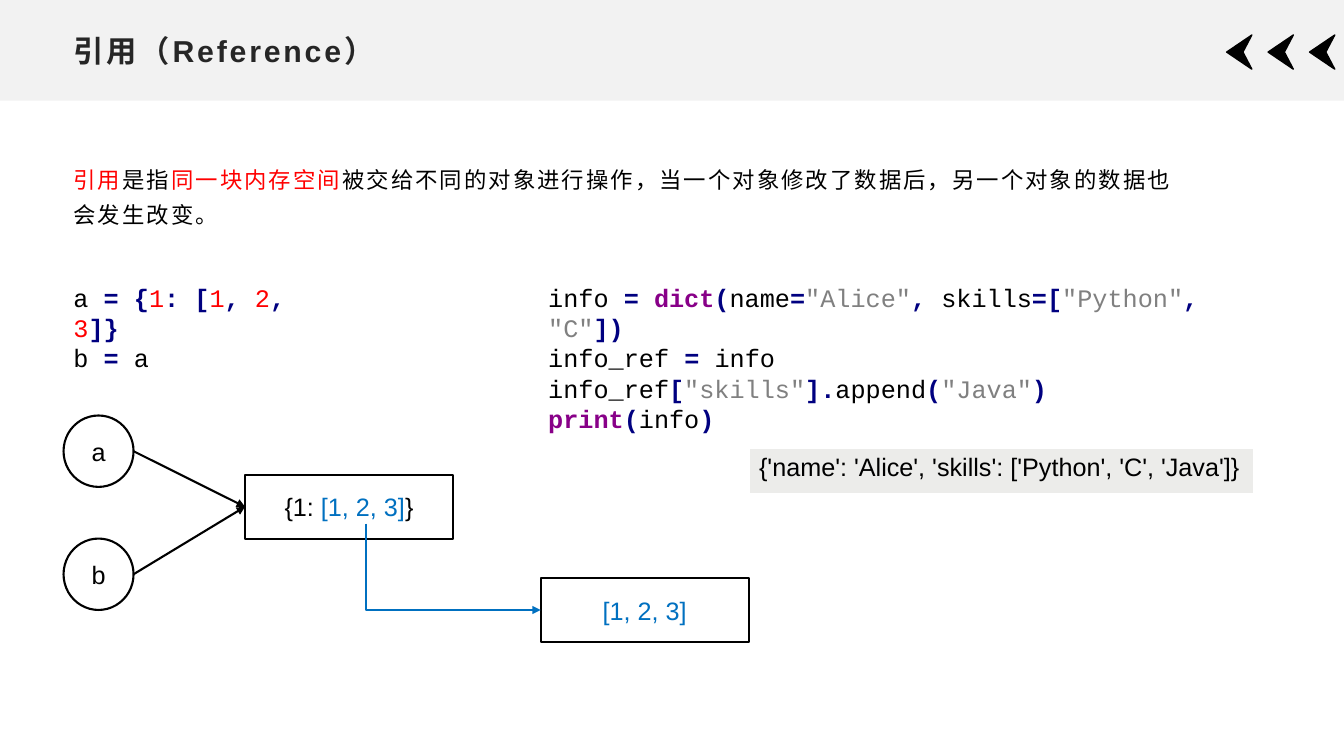
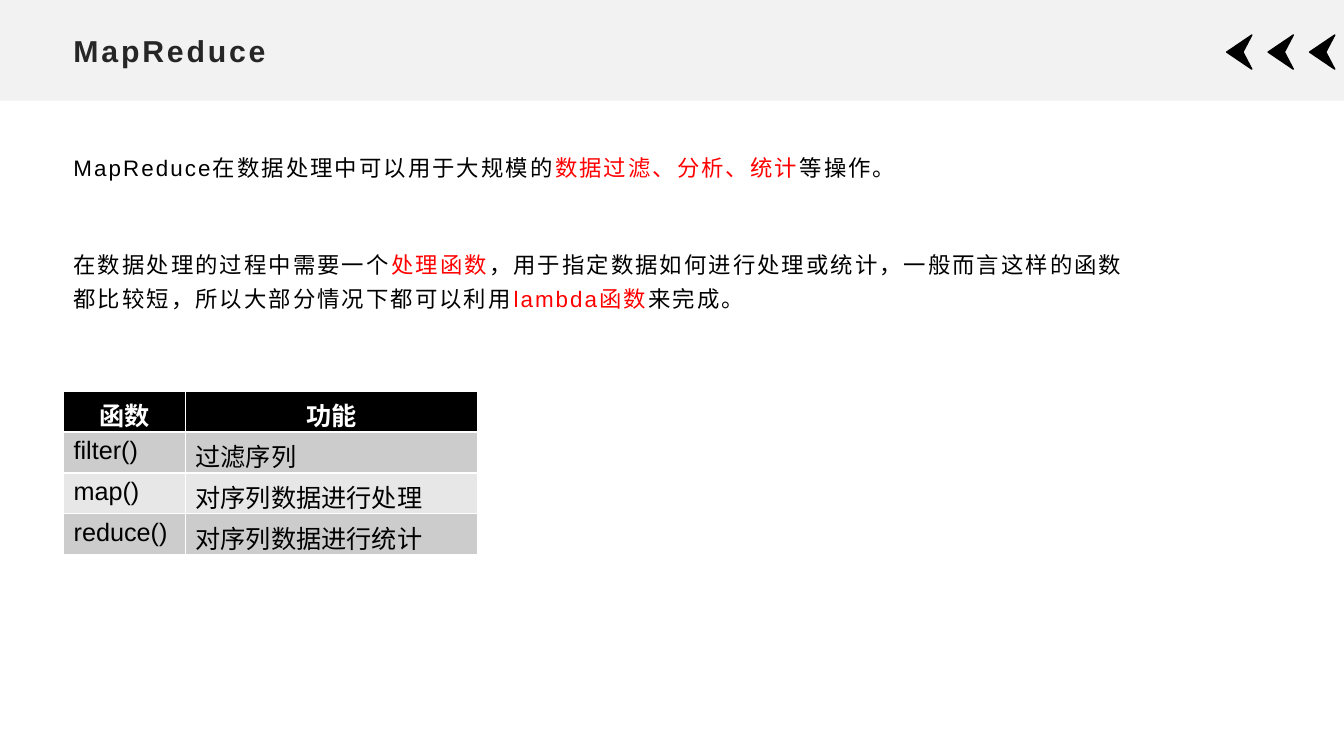
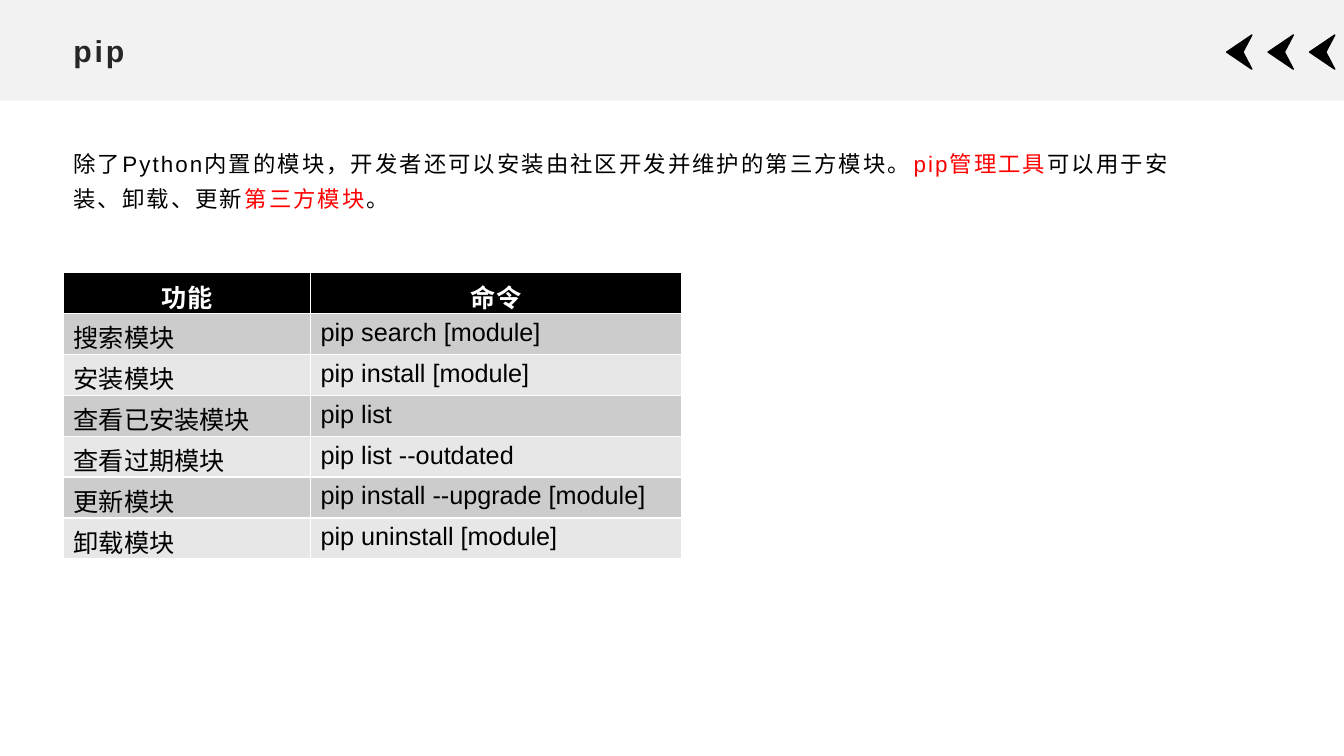
from lxml import etree
from pptx import Presentation
from pptx.dml.color import RGBColor
from pptx.enum.shapes import MSO_CONNECTOR, MSO_SHAPE
from pptx.enum.text import MSO_ANCHOR, PP_ALIGN
from pptx.oxml.ns import qn
from pptx.util import Pt

RECT, OVAL = MSO_SHAPE.RECTANGLE, MSO_SHAPE.OVAL
STRAIGHT, ELBOW = MSO_CONNECTOR.STRAIGHT, MSO_CONNECTOR.ELBOW
TOP, MIDDLE = MSO_ANCHOR.TOP, MSO_ANCHOR.MIDDLE
LEFT, CENTER = PP_ALIGN.LEFT, PP_ALIGN.CENTER

BLACK = RGBColor(0x00, 0x00, 0x00)
WHITE = RGBColor(0xFF, 0xFF, 0xFF)
BAND = RGBColor(0xF2, 0xF2, 0xF2)
TITLE = RGBColor(0x26, 0x26, 0x26)
RED = RGBColor(0xFF, 0x00, 0x00)
BLUE = RGBColor(0x00, 0x70, 0xC0)
NAVY = RGBColor(0x00, 0x00, 0x80)
PURPLE = RGBColor(0x88, 0x00, 0x88)
GREY = RGBColor(0x80, 0x80, 0x80)
OUTPUT = RGBColor(0xEC, 0xEC, 0xEA)
ROW_DARK = RGBColor(0xCC, 0xCC, 0xCC)
ROW_LIGHT = RGBColor(0xE7, 0xE7, 0xE7)
BOLD_COLORS = (TITLE, WHITE, NAVY, PURPLE)

MARGIN = 45.4
ROW_H = 29.2


def write(tf, lines, size=18, font="Arial", align=LEFT, anchor=TOP,
          tracking=0, spacing=1.0, after=0):
    tf.word_wrap = True
    tf.vertical_anchor = anchor
    for i, line in enumerate(lines):
        p = tf.add_paragraph() if i else tf.paragraphs[0]
        p.alignment = align
        p.line_spacing = spacing
        p.space_after = Pt(after)
        for text, color in line:
            r = p.add_run()
            r.text = text
            r.font.size = Pt(size)
            r.font.name = font
            r.font.bold = color in BOLD_COLORS
            r.font.color.rgb = color
            if tracking:
                r.font._element.set("spc", str(int(tracking * 100)))


def add_grid(s, x, y, widths, row_h, rows, fills):
    table = s.shapes.add_table(len(rows), len(widths), Pt(x), Pt(y),
                               Pt(sum(widths)), Pt(row_h * len(rows))).table
    for column, width in zip(table.columns, widths):
        column.width = Pt(width)
    for i, row in enumerate(rows):
        table.rows[i].height = Pt(row_h)
        for j, text in enumerate(row):
            cell = table.cell(i, j)
            cell.fill.solid()
            cell.fill.fore_color.rgb = fills[i]
            header = fills[i] == BLACK
            write(cell.text_frame, [[(text, WHITE if header else BLACK)]],
                  align=CENTER if header else LEFT)


prs = Presentation()
prs.slide_width, prs.slide_height = Pt(960), Pt(540)

pages = [
    ("引用（Reference）", 109.4, 813.6, 57.6, [
        [("引用", RED), ("是指", BLACK), ("同一块内存空间", RED),
         ("被交给不同的对象进行操作，当一个对象修改了数据后，另一个对象的数据也会发生改变。", BLACK)],
    ]),
    ("MapReduce", 100.8, 776.2, 135.4, [
        [("MapReduce在数据处理中可以用于大规模的", BLACK),
         ("数据过滤、分析、统计", RED), ("等操作。", BLACK)],
        [("在数据处理的过程中需要一个", BLACK), ("处理函数", RED),
         ("，用于指定数据如何进行处理或统计，一般而言这样的函数都比较短，所以大部分情况下都可以利用", BLACK),
         ("lambda函数", RED), ("来完成。", BLACK)],
    ]),
    ("pip", 97.9, 799.9, 62.6, [
        [("除了Python内置的模块，开发者还可以安装由社区开发并维护的第三方模块。", BLACK),
         ("pip管理工具", RED), ("可以用于安装、卸载、更新", BLACK),
         ("第三方模块", RED), ("。", BLACK)],
    ]),
]

for title, y, w, h, body in pages:
    s = prs.slides.add_slide(prs.slide_layouts[6])
    band = s.shapes.add_shape(RECT, 0, 0, prs.slide_width, Pt(72))
    band.shadow.inherit = False
    band.fill.solid()
    band.fill.fore_color.rgb = BAND
    band.line.fill.background()
    for i in range(3):
        x = 876.2 + 29.6 * i
        outline = s.shapes.build_freeform(Pt(x), Pt(37.2))
        outline.add_line_segments([(Pt(x + 18), Pt(25)), (Pt(x + 11.6), Pt(37.2)),
                                   (Pt(x + 18), Pt(49.4))])
        chevron = outline.convert_to_shape()
        chevron.shadow.inherit = False
        chevron.fill.solid()
        chevron.fill.fore_color.rgb = BLACK
        chevron.line.color.rgb = BLACK
        chevron.line.width = Pt(1)
    sp = s.shapes.add_textbox(Pt(MARGIN), Pt(18.7), Pt(869), Pt(34.6))
    write(sp.text_frame, [[(title, TITLE)]], size=21.6, anchor=MIDDLE, tracking=2)
    sp = s.shapes.add_textbox(Pt(MARGIN), Pt(y), Pt(w), Pt(h))
    write(sp.text_frame, body, size=16, tracking=1.5, spacing=1.3, after=44)

reference, mapreduce, pip = prs.slides

assign_code = [
    [("a ", BLACK), ("= {", NAVY), ("1", RED), (": [", NAVY), ("1", RED),
     (", ", NAVY), ("2", RED), (", ", NAVY), ("3", RED), ("]}", NAVY)],
    [("b ", BLACK), ("=", NAVY), (" a", BLACK)],
]
append_code = [
    [("info ", BLACK), ("= ", NAVY), ("dict", PURPLE), ("(", NAVY),
     ("name", BLACK), ("=", NAVY), ('"Alice"', GREY), (",", NAVY),
     (" skills", BLACK), ("=[", NAVY), ('"Python"', GREY), (", ", NAVY),
     ('"C"', GREY), ("])", NAVY)],
    [("info_ref ", BLACK), ("=", NAVY), (" info", BLACK)],
    [("info_ref", BLACK), ("[", NAVY), ('"skills"', GREY), ("].", NAVY),
     ("append", BLACK), ("(", NAVY), ('"Java"', GREY), (")", NAVY)],
    [("print", PURPLE), ("(", NAVY), ("info", BLACK), (")", NAVY)],
]
for x, w, h, code in [(MARGIN, 200.9, 51, assign_code), (384.5, 512, 94.3, append_code)]:
    sp = reference.shapes.add_textbox(Pt(x), Pt(198), Pt(w), Pt(h))
    write(sp.text_frame, code, font="Courier New")

nodes = [
    (OVAL, MARGIN, 296.8, 50, 51, [("a", BLACK)]),
    (OVAL, MARGIN, 384.7, 50, 51, [("b", BLACK)]),
    (RECT, 175, 339, 148.6, 46, [("{1: ", BLACK), ("[1, 2, 3]", BLUE), ("}", BLACK)]),
    (RECT, 386.2, 412.7, 148.6, 46, [("[1, 2, 3]", BLUE)]),
]
for kind, x, y, w, h, label in nodes:
    sp = reference.shapes.add_shape(kind, Pt(x), Pt(y), Pt(w), Pt(h))
    sp.shadow.inherit = False
    sp.fill.solid()
    sp.fill.fore_color.rgb = WHITE
    sp.line.color.rgb = BLACK
    sp.line.width = Pt(1.5)
    write(sp.text_frame, [label], align=CENTER, anchor=MIDDLE)

arrows = [
    (STRAIGHT, 95.4, 322.3, 175, 362, BLACK),
    (STRAIGHT, 95.4, 410.2, 175, 362, BLACK),
    (ELBOW, 261.7, 374, 386.2, 435.7, BLUE),
]
for kind, x1, y1, x2, y2, color in arrows:
    arrow = reference.shapes.add_connector(kind, Pt(x1), Pt(y1), Pt(x2), Pt(y2))
    arrow.line.color.rgb = color
    arrow.line.width = Pt(1.5)
    props = arrow._element.spPr
    etree.SubElement(props.find(qn("a:ln")), qn("a:tailEnd"), type="triangle")
    etree.SubElement(props, qn("a:effectLst"))
    if kind == ELBOW:
        guides = props.find(qn("a:prstGeom")).find(qn("a:avLst"))
        etree.SubElement(guides, qn("a:gd"), name="adj1", fmla="val 0")

add_grid(reference, 535, 320.4, [360.7], 32.4,
         [["{'name': 'Alice', 'skills': ['Python', 'C', 'Java']}"]], [OUTPUT])

functions = [
    ("函数", "功能"),
    ("filter()", "过滤序列"),
    ("map()", "对序列数据进行处理"),
    ("reduce()", "对序列数据进行统计"),
]
commands = [
    ("功能", "命令"),
    ("搜索模块", "pip search [module]"),
    ("安装模块", "pip install [module]"),
    ("查看已安装模块", "pip list"),
    ("查看过期模块", "pip list --outdated"),
    ("更新模块", "pip install --upgrade [module]"),
    ("卸载模块", "pip uninstall [module]"),
]
banding = [BLACK] + [ROW_DARK, ROW_LIGHT] * 3
add_grid(mapreduce, MARGIN, 279.4, [87.1, 208.8], ROW_H, functions, banding)
add_grid(pip, MARGIN, 194.8, [176.4, 265], ROW_H, commands, banding)

prs.save("out.pptx")
